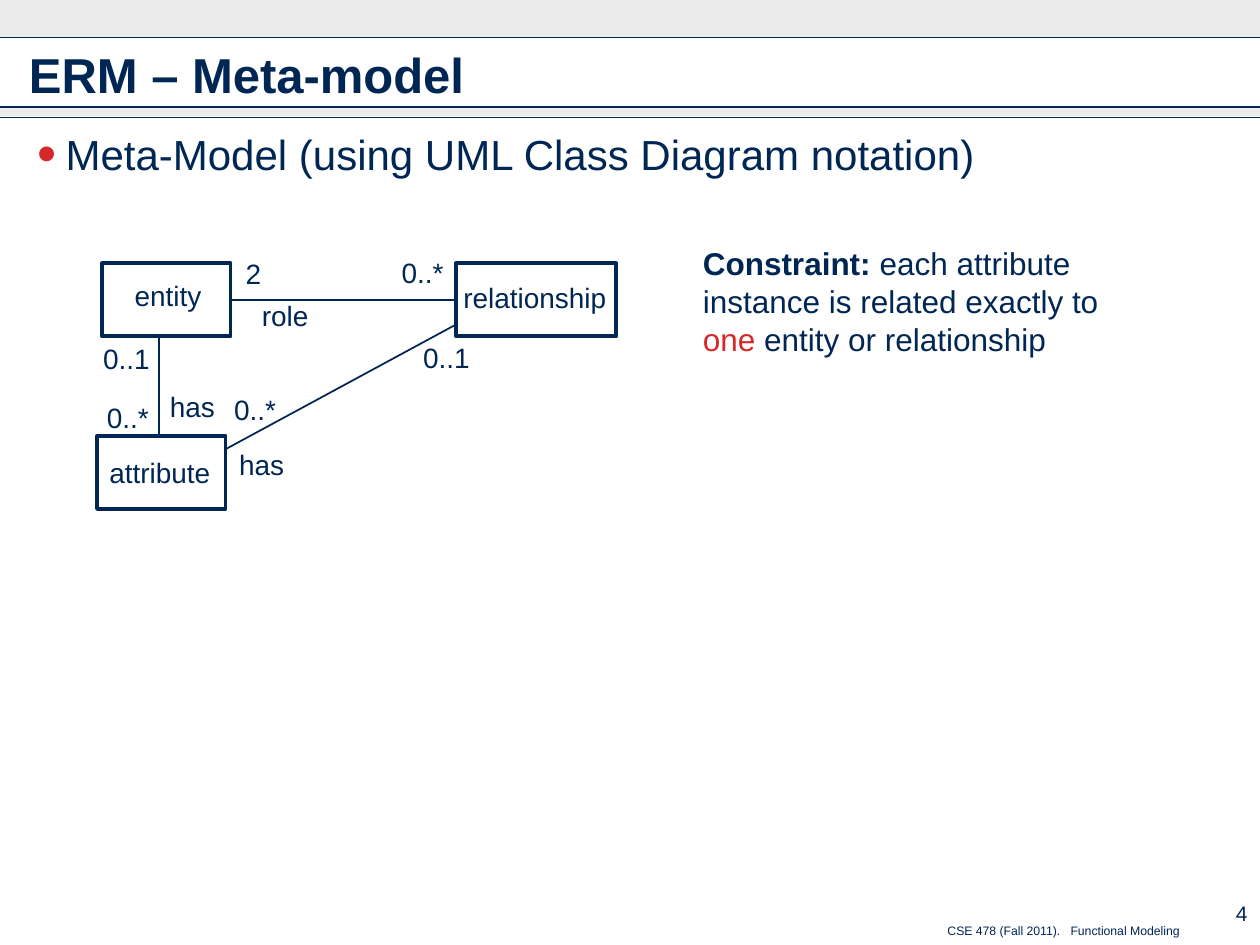
from dataclasses import dataclass

from pptx import Presentation
from pptx import util as u
from pptx.dml.color import RGBColor
from pptx.enum import shapes, text
from pptx.oxml import ns, xmlchemy


@dataclass(frozen=True)
class Theme:
    font: str = "Arial"
    ink: str = "002654"
    accent: str = "D62828"
    band: str = "CDCDCD"
    band_alpha: int = 40000
    title: float = 28
    body: float = 24
    note: float = 18
    label: float = 16
    number: float = 12
    footer: float = 7
    rule: float = 0.75
    link: float = 1
    outline: float = 2.25


T = Theme()
COLS, ROWS = 10, 7.5  # one-inch grid
BOX_H = 0.58


def grid(*lengths):
    return [u.Inches(n) for n in lengths]


def rgb(value):
    return RGBColor.from_string(value)


def sub(parent, tag, **attrs):
    el = xmlchemy.OxmlElement(tag)
    for name, value in attrs.items():
        el.set(name, str(value))
    parent.append(el)
    return el


def write(sp, runs, size, bold=False, color=T.ink, align=text.PP_ALIGN.LEFT,
          anchor=text.MSO_ANCHOR.TOP, wrap=True):
    """Fill a shape with one paragraph; runs are (words, overrides) pairs."""
    tf = sp.text_frame
    tf.word_wrap, tf.vertical_anchor = wrap, anchor
    tf.auto_size = text.MSO_AUTO_SIZE.NONE
    p = tf.paragraphs[0]
    p.alignment, p.space_before = align, u.Pt(0)
    for words, extra in [(runs, {})] if isinstance(runs, str) else runs:
        r = p.add_run()
        r.text = words
        r.font.name, r.font.size = T.font, u.Pt(size)
        r.font.bold = extra.get("bold", bold)
        r.font.color.rgb = rgb(extra.get("color", color))
        if "spacing" in extra:
            r.font._element.set("spc", str(extra["spacing"]))
    return p


def place(sp, *box):
    sp.left, sp.top, sp.width, sp.height = grid(*box)
    return sp


def textbox(s, box, runs, size, **fmt):
    return write(s.shapes.add_textbox(*grid(*box)), runs, size, **fmt)


def label(s, x, y, w, words):
    textbox(s, (x, y, w, 0.37), words, T.label, wrap=False)


def rect(s, *box):
    sp = s.shapes.add_shape(shapes.MSO_SHAPE.RECTANGLE, *grid(*box))
    sp.shadow.inherit = False
    return sp


def band(s, y, h):
    sp = rect(s, 0, y, COLS, h)
    sp.fill.solid()
    sp.fill.fore_color.rgb = rgb(T.band)
    color = sp._element.spPr.find(".//" + ns.qn("a:srgbClr"))
    sub(color, "a:alpha", val=T.band_alpha)
    sp.line.fill.background()


def class_box(s, x, y, w):
    sp = rect(s, x, y, w, BOX_H)
    sp.fill.background()
    sp.line.color.rgb, sp.line.width = rgb(T.ink), u.Pt(T.outline)
    return sp


def line(s, start, end, width):
    cx = s.shapes.add_connector(shapes.MSO_CONNECTOR.STRAIGHT, *grid(*start, *end))
    cx.line.color.rgb, cx.line.width = rgb(T.ink), u.Pt(width)
    sub(cx._element.spPr, "a:effectLst")
    return cx


def frame(s):
    # Header bands and rules
    for y, h in ((0, 0.3), (0.85, 0.07)):
        band(s, y, h)
    for y in (0.3, 0.85, 0.93):
        line(s, (0, y), (COLS, y), T.rule)
    # Footer and page number
    textbox(s, (3.25, 7.28, 6.21, 0.22),
            [("CSE 478 (Fall 2011).", {}), (" ", {"spacing": 390}),
             ("Functional Modeling", {})],
            T.footer, align=text.PP_ALIGN.RIGHT, wrap=False)
    textbox(s, (9.3, 7.08, 0.7, 0.34), "4", T.number,
            align=text.PP_ALIGN.RIGHT, anchor=text.MSO_ANCHOR.MIDDLE)


def headings(s):
    write(place(s.shapes.title, 0.13, 0.26, 9.74, 0.66), "ERM – Meta-model",
          T.title, bold=True, anchor=text.MSO_ANCHOR.MIDDLE)
    p = write(place(s.placeholders[1], 0, 1.01, 9.74, 6.1),
              "Meta-Model (using UML Class Diagram notation)", T.body)
    p.line_spacing = u.Pt(26)
    pPr = p._p.get_or_add_pPr()
    pPr.set("marL", str(u.Inches(0.42)))
    pPr.set("indent", str(u.Inches(-0.22)))
    sub(sub(pPr, "a:buClr"), "a:srgbClr", val=T.accent)
    sub(pPr, "a:buSzPct", val=130000)
    sub(pPr, "a:buFont", typeface=T.font)
    sub(pPr, "a:buChar", char="•")


def diagram(s):
    # Classes
    entity = class_box(s, 0.81, 2.09, 1.02)
    relationship = class_box(s, 3.62, 2.09, 1.27)
    class_box(s, 0.77, 3.46, 1.02)
    # Associations
    role = line(s, (1.83, 2.38), (3.62, 2.38), T.link)
    role.begin_connect(entity, 3)
    role.end_connect(relationship, 1)
    line(s, (1.26, 2.67), (1.26, 3.46), T.link)
    line(s, (1.8, 3.56), (3.63, 2.57), T.link)
    # Class names, roles and multiplicities
    for item in ((0.97, 2.16, 0.73, "entity"),
                 (3.58, 2.18, 1.33, "relationship"),
                 (0.77, 3.57, 1, "attribute"),
                 (1.85, 1.99, 0.32, "2"),
                 (3.09, 1.98, 0.53, "0..*"),
                 (1.98, 2.32, 0.57, "role"),
                 (0.72, 2.66, 0.57, "0..1"),
                 (0.75, 3.13, 0.53, "0..*"),
                 (1.25, 3.04, 0.56, "has"),
                 (1.76, 3.07, 0.53, "0..*"),
                 (3.26, 2.65, 0.57, "0..1"),
                 (1.8, 3.5, 0.56, "has")):
        label(s, *item)


def constraint(s):
    textbox(s, (5.48, 1.89, 3.69, 1),
            [("Constraint:", {"bold": True}),
             (" each attribute instance is related exactly to ", {}),
             ("one", {"color": T.accent}),
             (" entity or relationship", {})], T.note)


def main():
    prs = Presentation()
    prs.slide_width, prs.slide_height = grid(COLS, ROWS)
    s = prs.slides.add_slide(prs.slide_layouts[1])
    frame(s)
    headings(s)
    diagram(s)
    constraint(s)
    prs.save("out.pptx")


if __name__ == "__main__":
    main()
